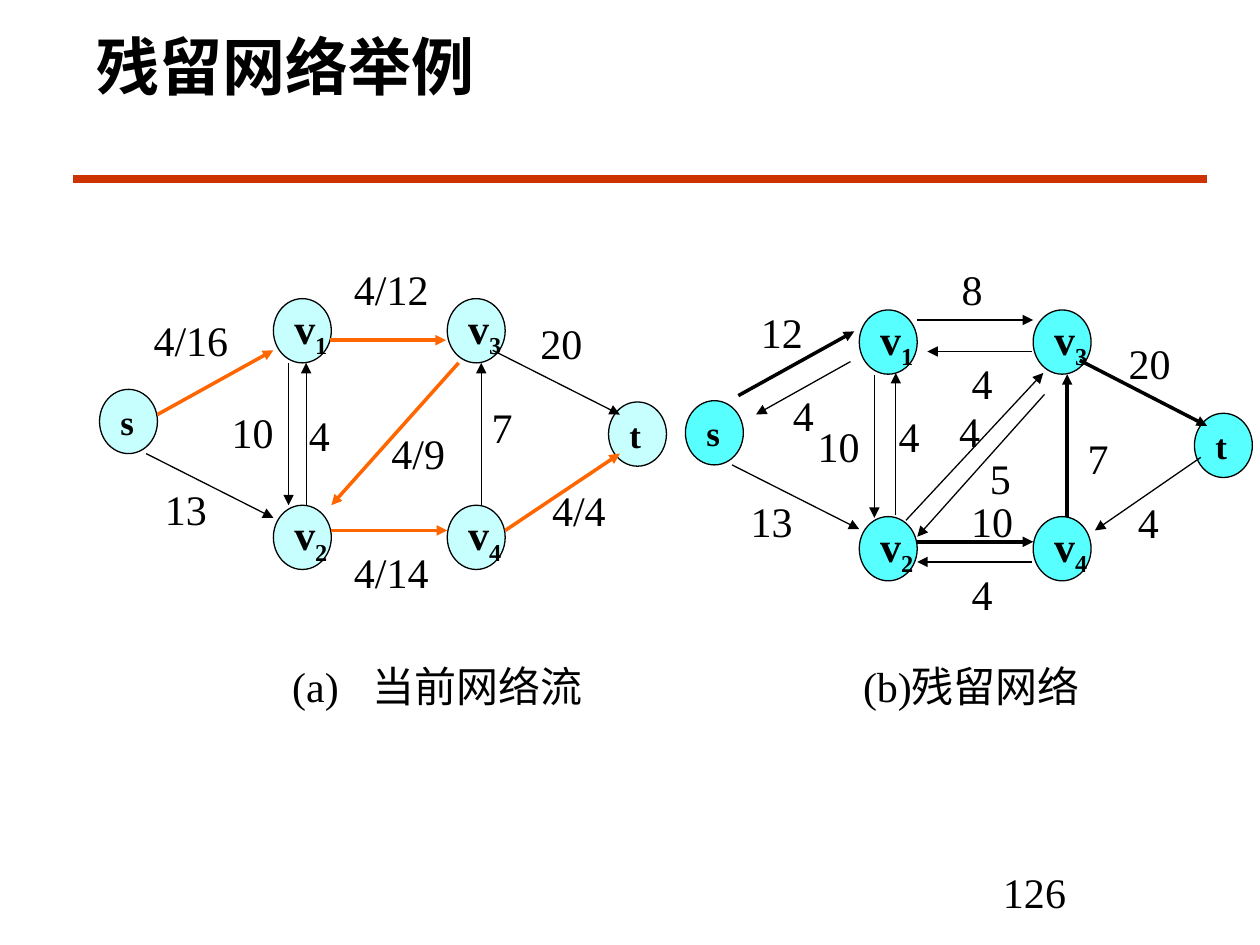
from dataclasses import dataclass

from lxml import etree
from pptx import Presentation
from pptx.dml.color import RGBColor
from pptx.enum.shapes import MSO_CONNECTOR, MSO_SHAPE
from pptx.enum.text import MSO_ANCHOR, PP_ALIGN
from pptx.oxml.ns import qn
from pptx.util import Inches, Pt

OVAL = MSO_SHAPE.OVAL
STRAIGHT = MSO_CONNECTOR.STRAIGHT
CENTER, LEFT = PP_ALIGN.CENTER, PP_ALIGN.LEFT
MIDDLE = MSO_ANCHOR.MIDDLE
BLACK, ORANGE, RED = "000000", "FF6600", "CC3300"
THIN, THICK = 0.75, 2
LABEL_H = 0.5


@dataclass
class Node:
    """A vertex with its place in the first network."""
    name: str
    index: str
    x: float
    y: float


@dataclass
class Edge:
    """An arrow between two points."""
    x1: float
    y1: float
    x2: float
    y2: float
    width: float = THIN
    color: str = BLACK


@dataclass
class Label:
    """A capacity or flow value beside an edge."""
    text: str
    x: float
    y: float
    w: float = 0.37


@dataclass
class Network:
    """A graph drawn at an offset from the first one."""
    dx: float
    dy: float
    fill: str
    edges: list[Edge]
    labels: list[Label]


NODES = [
    Node("s", "", 0.79, 3.09),
    Node("v", "2", 2.17, 4.01),
    Node("v", "4", 3.55, 4.01),
    Node("t", "", 4.83, 3.19),
    Node("v", "3", 3.55, 2.37),
    Node("v", "1", 2.17, 2.37),
]

FLOW = Network(0, 0, "C7FFFF", [
    Edge(1.25, 3.29, 2.17, 2.78, THICK, ORANGE),
    Edge(2.62, 2.7, 3.54, 2.7, THICK, ORANGE),
    Edge(3.91, 2.78, 4.92, 3.29),
    Edge(1.16, 3.6, 2.17, 4.11),
    Edge(2.63, 4.21, 3.55, 4.21, THICK, ORANGE),
    Edge(4.01, 4.21, 4.92, 3.6, THICK, ORANGE),
    Edge(2.43, 4.01, 2.43, 2.88),
    Edge(3.82, 4.01, 3.82, 2.88),
    Edge(3.64, 2.88, 2.63, 4.01, THICK, ORANGE),
    Edge(2.29, 2.88, 2.29, 4.01),
], [
    Label("4/9", 3, 3.34, 0.64),
    Label("4/16", 1.12, 2.45, 0.79),
    Label("13", 1.21, 3.79, 0.53),
    Label("4/12", 2.71, 2.04, 0.79),
    Label("4", 2.35, 3.2),
    Label("20", 4.19, 2.47, 0.53),
    Label("4/4", 4.28, 3.8, 0.63),
    Label("7", 3.8, 3.14),
    Label("4/14", 2.71, 4.29, 0.79),
    Label("10", 1.74, 3.18, 0.53),
])

RESIDUAL = Network(4.65, 0.09, "58FFFF", [
    Edge(6.75, 2.87, 6, 3.29),
    Edge(5.86, 3.14, 6.78, 2.63, THICK),
    Edge(7.28, 2.54, 8.2, 2.54),
    Edge(8.57, 2.86, 9.58, 3.38, THICK),
    Edge(5.81, 3.69, 6.82, 4.2),
    Edge(7.28, 4.3, 8.2, 4.3, THICK),
    Edge(7.11, 4.09, 7.11, 2.96),
    Edge(8.47, 4.1, 8.47, 2.97, THICK),
    Edge(8.29, 3.13, 7.28, 4.26),
    Edge(8.19, 2.79, 7.36, 2.79),
    Edge(7.19, 4.13, 8.28, 2.96),
    Edge(8.19, 4.46, 7.28, 4.46),
    Edge(9.53, 3.63, 8.69, 4.21),
    Edge(6.94, 2.98, 6.94, 4.11),
], [
    Label("5", 7.67, 3.54, 0.54),
    Label("12", 5.94, 2.38, 0.53),
    Label("13", 5.86, 3.88, 0.53),
    Label("8", 7.53, 2.04),
    Label("4", 7.03, 3.21),
    Label("20", 8.86, 2.63, 0.53),
    Label("4", 8.93, 3.89),
    Label("7", 8.53, 3.38),
    Label("4", 7.61, 4.46),
    Label("4", 6.19, 3.04),
    Label("4", 7.61, 2.79),
    Label("4", 7.51, 3.17),
    Label("10", 7.61, 3.88, 0.53),
    Label("10", 6.39, 3.29, 0.53),
])


def rgb(value: str) -> RGBColor:
    """Turn a hex string into a colour."""
    return RGBColor.from_string(value)


def add_run(p, text: str, size: float = 24, bold: bool = False):
    """Add a formatted run to a paragraph."""
    r = p.add_run()
    r.text = text
    formats = {"name": "Times New Roman", "size": Pt(size), "bold": bold}
    for key, value in formats.items():
        setattr(r.font, key, value)
    r.font.color.rgb = rgb(BLACK)
    return r


def add_text(s, text: str, x: float, y: float, w: float, h: float = LABEL_H,
             size: float = 24, bold: bool = False, align=CENTER, wrap: bool = True):
    """Add a one-line text box and return its text frame."""
    tf = s.shapes.add_textbox(Inches(x), Inches(y), Inches(w), Inches(h)).text_frame
    tf.word_wrap = wrap
    p = tf.paragraphs[0]
    p.alignment = align
    add_run(p, text, size, bold)
    return tf


def add_line(s, edge: Edge, arrow: bool = True) -> None:
    """Draw a straight line, with an arrowhead at its end if asked."""
    ends = (Inches(v) for v in (edge.x1, edge.y1, edge.x2, edge.y2))
    cx = s.shapes.add_connector(STRAIGHT, *ends)
    cx.line.color.rgb = rgb(edge.color)
    cx.line.width = Pt(edge.width)
    if arrow:
        etree.SubElement(cx.line._get_or_add_ln(), qn("a:tailEnd"), type="triangle")
    etree.SubElement(cx._element.spPr, qn("a:effectLst"))


def add_node(s, node: Node, net: Network) -> None:
    """Draw a vertex with its name and subscript."""
    sp = s.shapes.add_shape(OVAL, Inches(node.x + net.dx), Inches(node.y + net.dy),
                            Inches(0.46), Inches(0.51))
    sp.shadow.inherit = False
    sp.fill.solid()
    sp.fill.fore_color.rgb = rgb(net.fill)
    sp.line.color.rgb = rgb(BLACK)
    sp.line.width = Pt(THIN)
    tf = sp.text_frame
    for key, value in {"word_wrap": False, "vertical_anchor": MIDDLE}.items():
        setattr(tf, key, value)
    p = tf.paragraphs[0]
    p.alignment = LEFT
    add_run(p, node.name, 24 if node.index else 20, True)
    if node.index:
        r = add_run(p, node.index, 24, True)
        r.font._element.set("baseline", "-25000")


def add_network(s, net: Network) -> None:
    """Draw the vertices, edges and labels of a network."""
    for node in NODES:
        add_node(s, node, net)
    for edge in net.edges:
        add_line(s, edge)
    for label in net.labels:
        add_text(s, label.text, label.x, label.y, label.w, wrap=False)


def add_captions(s) -> None:
    """Write both captions on one line, set apart by tab stops."""
    tf = add_text(s, "(a)\t当前网络流\t(b)残留网络", 2.11, 5.19, 6.77, align=LEFT)
    tf.margin_left = Inches(0.21)
    tabs = etree.SubElement(tf.paragraphs[0]._p.get_or_add_pPr(), qn("a:tabLst"))
    for pos in (0.64, 4.53):
        etree.SubElement(tabs, qn("a:tab"), pos=str(Inches(pos)), algn="l")


def main() -> None:
    """Build the slide and save it."""
    prs = Presentation()
    prs.slide_width, prs.slide_height = Inches(10), Inches(7.5)
    s = prs.slides.add_slide(prs.slide_layouts[6])
    add_line(s, Edge(0.58, 1.42, 9.58, 1.42, 4.5, RED), arrow=False)
    add_text(s, "126", 7.17, 6.83, 2.08)
    add_text(s, "残留网络举例", 0.67, 0.17, 8.3, 0.75, 36, True, LEFT)
    add_captions(s)
    for net in (FLOW, RESIDUAL):
        add_network(s, net)
    prs.save("out.pptx")


if __name__ == "__main__":
    main()
